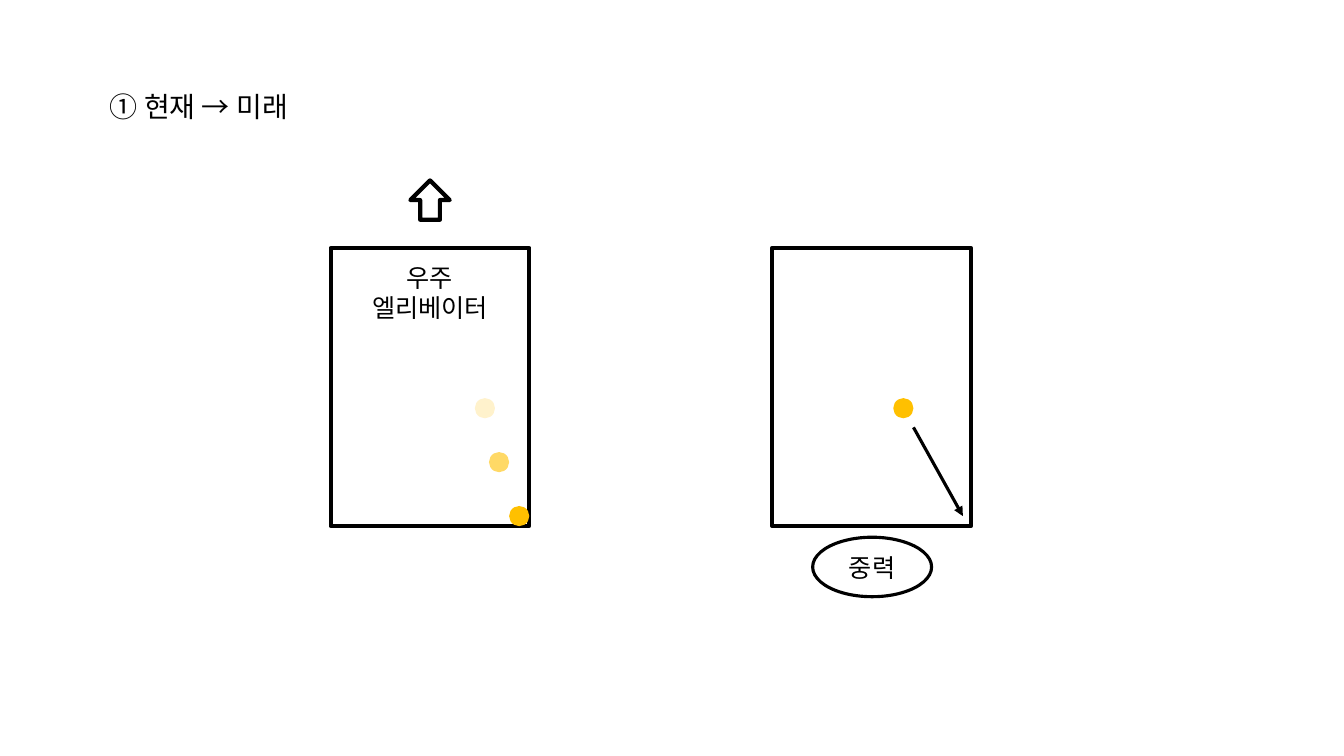
import pptx
import pptx.dml.color
import pptx.enum.shapes
import pptx.enum.text
import pptx.oxml
import pptx.oxml.ns
import pptx.util

PX = 9144  # EMU per px, 100 px to the inch
FONT = "Noto Sans CJK KR"
BLACK, GOLD = "000000", "FFC000"
CABIN_W, CABIN_H = 197, 276
BALL = 20
SHAPE = pptx.enum.shapes.MSO_SHAPE
ALIGN = pptx.enum.text.PP_ALIGN


def px(*lengths):
    return [pptx.util.Emu(n * PX) for n in lengths]


def rgb(color):
    return pptx.dml.color.RGBColor.from_string(color)


def add_xml(parent, tag, **attrs):
    child = pptx.oxml.parse_xml(f"<a:{tag} {pptx.oxml.ns.nsdecls('a')}/>")
    for name, value in attrs.items():
        child.set(name, value)
    parent.append(child)


def set_text(tf, lines, size, align):
    for i, line in enumerate(lines):
        p = tf.add_paragraph() if i else tf.paragraphs[0]
        p.text = line
        p.alignment = align
        p.font.size = pptx.util.Pt(size)
        p.font.name = FONT
        p.font.color.rgb = rgb(BLACK)
        # Korean text takes the East Asian typeface
        add_xml(p._p.pPr.find(pptx.oxml.ns.qn("a:defRPr")), "ea", typeface=FONT)


def add_shape(slide, kind, x, y, w, h, fill=None, line_width=None):
    sp = slide.shapes.add_shape(kind, *px(x, y, w, h))
    sp.shadow.inherit = False
    if fill:
        sp.fill.solid()
        sp.fill.fore_color.rgb = rgb(fill)
    else:
        sp.fill.background()
    if line_width:
        sp.line.color.rgb = rgb(BLACK)
        sp.line.width = pptx.util.Pt(line_width)
    else:
        sp.line.fill.background()
    return sp


def add_text(slide, x, y, w, h, lines, size, align):
    tf = slide.shapes.add_textbox(*px(x, y, w, h)).text_frame
    tf.word_wrap = True
    tf.auto_size = pptx.enum.text.MSO_AUTO_SIZE.SHAPE_TO_FIT_TEXT
    set_text(tf, lines, size, align)


def add_cabin(slide, x, y):
    add_shape(slide, SHAPE.RECTANGLE, x, y, CABIN_W, CABIN_H, line_width=3)


def add_ball(slide, x, y, color):
    add_shape(slide, SHAPE.OVAL, x, y, BALL, BALL, fill=color)


def add_arrow(slide, x1, y1, x2, y2):
    cxn = slide.shapes.add_connector(
        pptx.enum.shapes.MSO_CONNECTOR.STRAIGHT, *px(x1, y1, x2, y2))
    cxn.line.color.rgb = rgb(BLACK)
    cxn.line.width = pptx.util.Pt(2.25)
    add_xml(cxn.line._get_or_add_ln(), "tailEnd", type="triangle")
    add_xml(cxn._element.spPr, "effectLst")


def add_elevator(slide, x, y):
    """Cabin accelerating upwards, with the ball at three moments."""
    add_cabin(slide, x, y)
    add_shape(slide, SHAPE.UP_ARROW, x + 79, y - 67, 39, 39, "FFFFFF", 3)
    add_text(slide, x + 22, y + 9, 153, 71, ["우주", "엘리베이터"], 18, ALIGN.CENTER)
    trail = [(143, "FFF2CC"), (157, "FFD966"), (177, GOLD)]
    for i, (dx, color) in enumerate(trail):
        add_ball(slide, x + dx, y + 149 + 53.5 * i, color)


def add_gravity(slide, x, y):
    """Cabin at rest, with the ball falling under gravity."""
    add_cabin(slide, x, y)
    add_ball(slide, x + 120, y + 149, GOLD)
    add_arrow(slide, x + 140, y + 178, x + 189, y + 266)
    sp = add_shape(slide, SHAPE.OVAL, x + 40, y + 287, 118, 59, line_width=2.25)
    sp.text_frame.vertical_anchor = pptx.enum.text.MSO_ANCHOR.MIDDLE
    set_text(sp.text_frame, ["중력"], 18, ALIGN.CENTER)


def main():
    prs = pptx.Presentation()
    prs.slide_width, prs.slide_height = px(1333, 750)
    slide = prs.slides.add_slide(prs.slide_layouts[6])
    add_text(slide, 99, 84, 274, 44, ["① 현재 → 미래"], 20, ALIGN.LEFT)
    add_elevator(slide, 328, 246)
    add_gravity(slide, 766, 246)
    prs.save("out.pptx")


if __name__ == "__main__":
    main()
